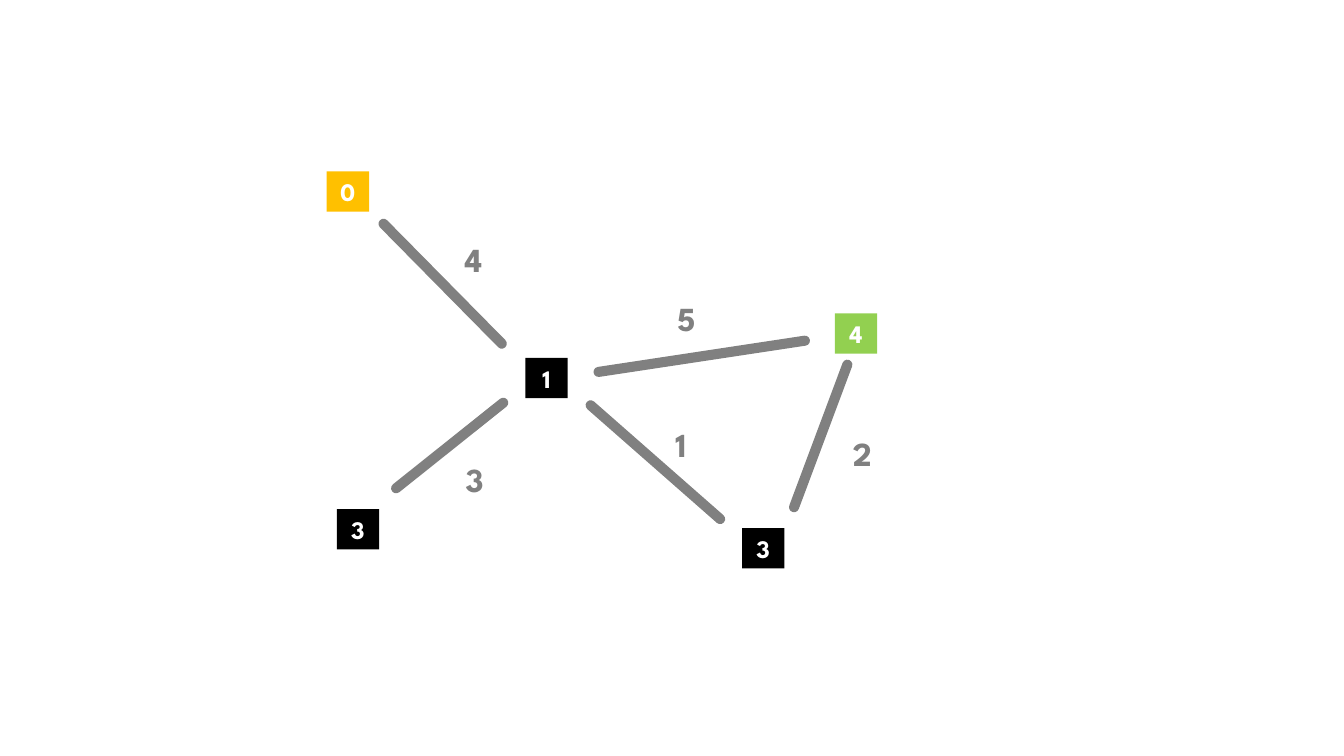
"""Build a slide with a weighted graph of five numbered nodes."""
import pptx
import pptx.dml.color
import pptx.enum.shapes
import pptx.enum.text
import pptx.util

Inches = pptx.util.Inches
SHAPES = pptx.enum.shapes.MSO_SHAPE
ALIGN = pptx.enum.text.PP_ALIGN
ANCHOR = pptx.enum.text.MSO_ANCHOR

FONT = "League Spartan"
COLORS = {"edge": "808080", "start": "FFC000", "node": "000000",
          "goal": "92D050", "text": "FFFFFF"}

# fields: left, top, length, rotation, weight, weight left, weight top
EDGES = [
    (4.41, 3.69, 1.46, 51.4, "3", 4.52, 4.5),
    (8.09, 3.52, 1.61, 20.5, "2", 8.36, 4.25),
    (6.45, 3.68, 1.81, 131.3, "1", 6.6, 4.16),
    (6.91, 2.45, 2.17, 81.4, "5", 6.62, 2.91),
    (4.34, 1.93, 1.77, 135.4, "4", 4.51, 2.32),
]
NODES = [
    ("0", 3.24, 1.7, "start"),
    ("1", 5.21, 3.55, "node"),
    ("3", 7.36, 5.24, "node"),
    ("4", 8.28, 3.11, "goal"),
    ("3", 3.34, 5.05, "node"),
]
EDGE_W = 0.1
NODE_W, NODE_H = 0.42, 0.4
LABEL_W, LABEL_H = 0.6, 0.5


def rgb(name):
    return pptx.dml.color.RGBColor.from_string(COLORS[name])


def add_block(slide, kind, box, color):
    sp = slide.shapes.add_shape(kind, *map(Inches, box))
    sp.shadow.inherit = False
    sp.fill.solid()
    sp.fill.fore_color.rgb = rgb(color)
    sp.line.fill.background()
    return sp


def set_text(sp, text, size, color, align, anchor):
    tf = sp.text_frame
    tf.word_wrap = True
    tf.vertical_anchor = anchor
    p = tf.paragraphs[0]
    p.text = text
    p.alignment = align
    p.font.name = FONT
    p.font.size = pptx.util.Pt(size)
    p.font.bold = True
    p.font.color.rgb = rgb(color)


def main():
    prs = pptx.Presentation()
    prs.slide_width, prs.slide_height = Inches(13.33), Inches(7.5)
    s = prs.slides.add_slide(prs.slide_layouts[6])

    for left, top, length, rotation, *_ in EDGES:
        sp = add_block(s, SHAPES.ROUNDED_RECTANGLE,
                       (left, top, EDGE_W, length), "edge")
        sp.adjustments[0] = 0.5
        sp.rotation = rotation

    for *_, weight, left, top in EDGES:
        sp = s.shapes.add_textbox(*map(Inches, (left, top, LABEL_W, LABEL_H)))
        set_text(sp, weight, 24, "edge", ALIGN.LEFT, ANCHOR.TOP)

    for value, left, top, color in NODES:
        sp = add_block(s, SHAPES.RECTANGLE, (left, top, NODE_W, NODE_H), color)
        set_text(sp, value, 18, "text", ALIGN.CENTER, ANCHOR.MIDDLE)

    prs.save("out.pptx")


if __name__ == "__main__":
    main()
